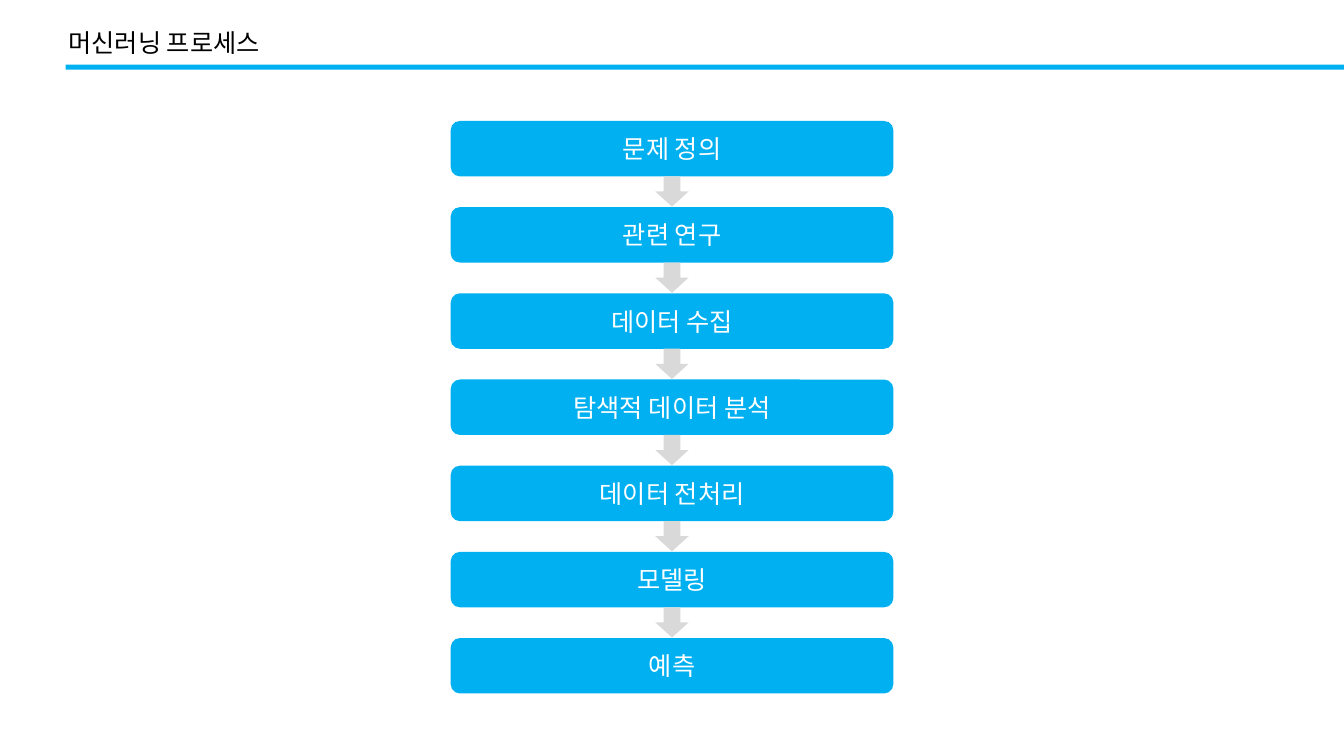
import pptx
import pptx.util
import pptx.dml.color
import pptx.enum.shapes
import pptx.enum.text

Inches = pptx.util.Inches
RGBColor = pptx.dml.color.RGBColor
Shape = pptx.enum.shapes.MSO_SHAPE
Align = pptx.enum.text.PP_ALIGN
Anchor = pptx.enum.text.MSO_ANCHOR

BLUE = RGBColor(0x00, 0xB0, 0xF0)
GRAY = RGBColor(0xD9, 0xD9, 0xD9)
WHITE = RGBColor(0xFF, 0xFF, 0xFF)
BLACK = RGBColor(0x00, 0x00, 0x00)

STEPS = ["문제 정의", "관련 연구", "데이터 수집", "탐색적 데이터 분석",
         "데이터 전처리", "모델링", "예측"]
WIDTH = 13.33
TOP, LAST = 1.2, 6.33
PITCH = (LAST - TOP) / (len(STEPS) - 1)
BOX_W, BOX_H = 4.39, 0.55
ARROW_W, ARROW_H = 0.33, 0.3


def write(shape, text, color, align, anchor):
    frame = shape.text_frame
    frame.text = text
    frame.word_wrap = True
    frame.vertical_anchor = anchor
    para = frame.paragraphs[0]
    para.alignment = align
    font = para.runs[0].font
    font.name = "Calibri"
    font.size = pptx.util.Pt(18)
    font.color.rgb = color


def add_block(slide, kind, left, top, width, height, color):
    block = slide.shapes.add_shape(
        kind, Inches(left), Inches(top), Inches(width), Inches(height))
    block.shadow.inherit = False
    block.fill.solid()
    block.fill.fore_color.rgb = color
    block.line.fill.background()
    return block


def add_title(slide, text):
    title = slide.shapes.title
    title.left, title.top = Inches(0.58), Inches(0.22)
    title.width, title.height = Inches(6.59), Inches(0.4)
    write(title, text, BLACK, Align.LEFT, Anchor.TOP)
    title.text_frame.auto_size = pptx.enum.text.MSO_AUTO_SIZE.SHAPE_TO_FIT_TEXT


def add_step(slide, text, top):
    box = add_block(slide, Shape.ROUNDED_RECTANGLE, (WIDTH - BOX_W) / 2, top,
                    BOX_W, BOX_H, BLUE)
    write(box, text, WHITE, Align.CENTER, Anchor.MIDDLE)


def add_arrow(slide, top):
    add_block(slide, Shape.DOWN_ARROW, (WIDTH - ARROW_W) / 2, top,
              ARROW_W, ARROW_H, GRAY)


def main():
    deck = pptx.Presentation()
    deck.slide_width, deck.slide_height = Inches(WIDTH), Inches(7.5)
    slide = deck.slides.add_slide(deck.slide_layouts.get_by_name("Title Only"))

    # Heading and rule
    add_title(slide, "머신러닝 프로세스")
    add_block(slide, Shape.RECTANGLE, 0.65, 0.64, WIDTH - 0.65, 0.05, BLUE)

    # Process steps
    for i, step in enumerate(STEPS):
        add_step(slide, step, TOP + i * PITCH)

    # Arrows between steps
    for i in range(len(STEPS) - 1):
        add_arrow(slide, TOP + i * PITCH + BOX_H)

    deck.save("out.pptx")


if __name__ == "__main__":
    main()
